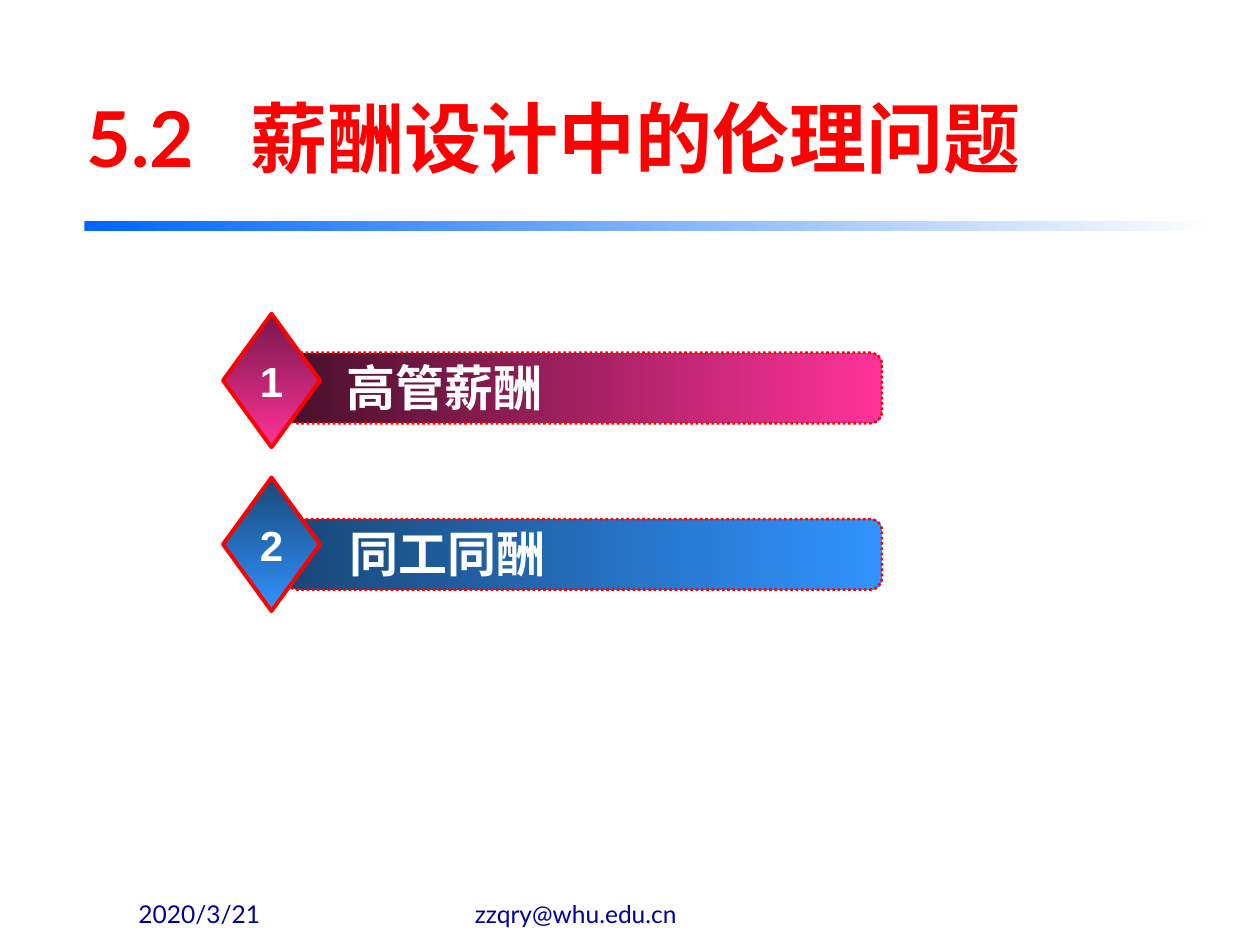
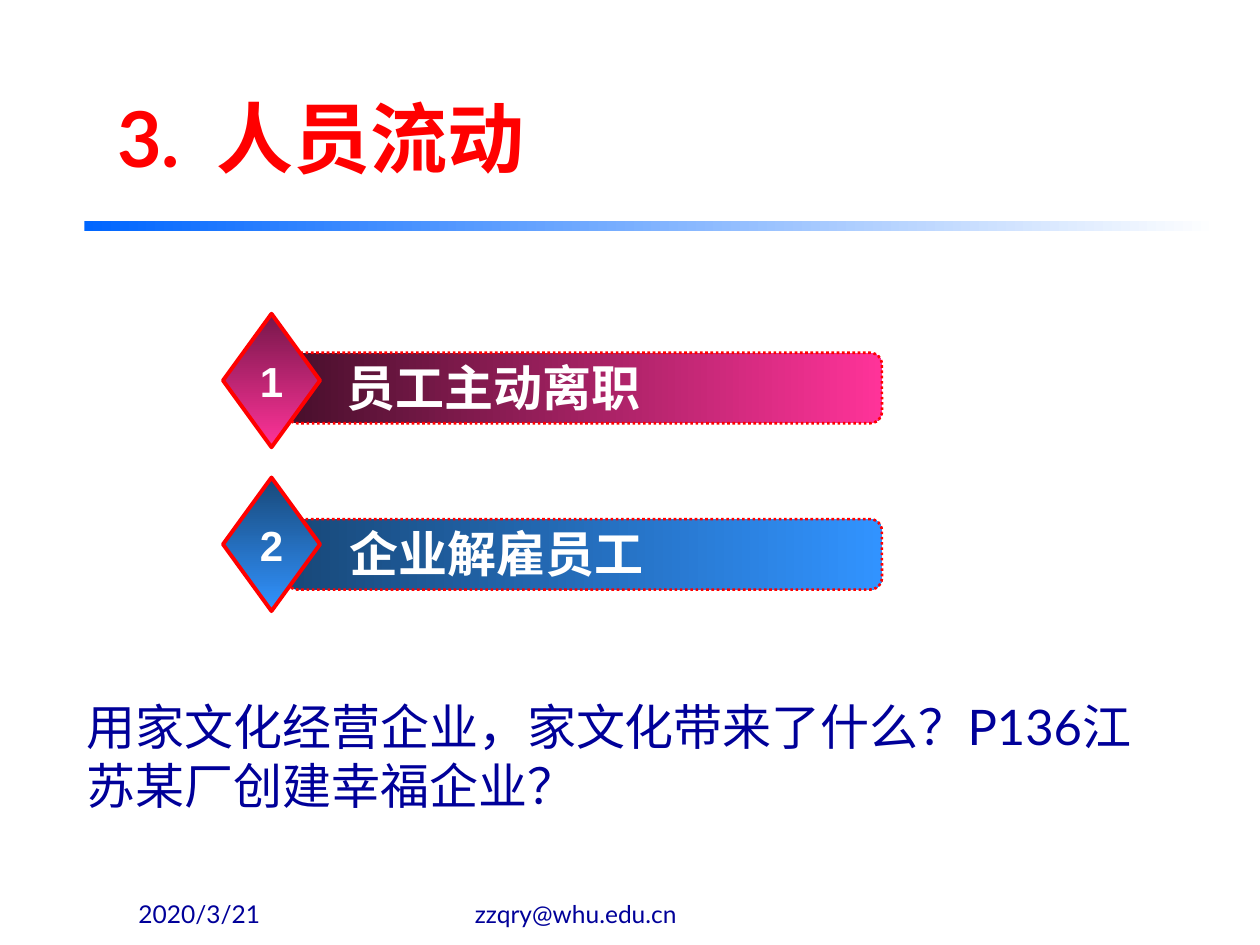
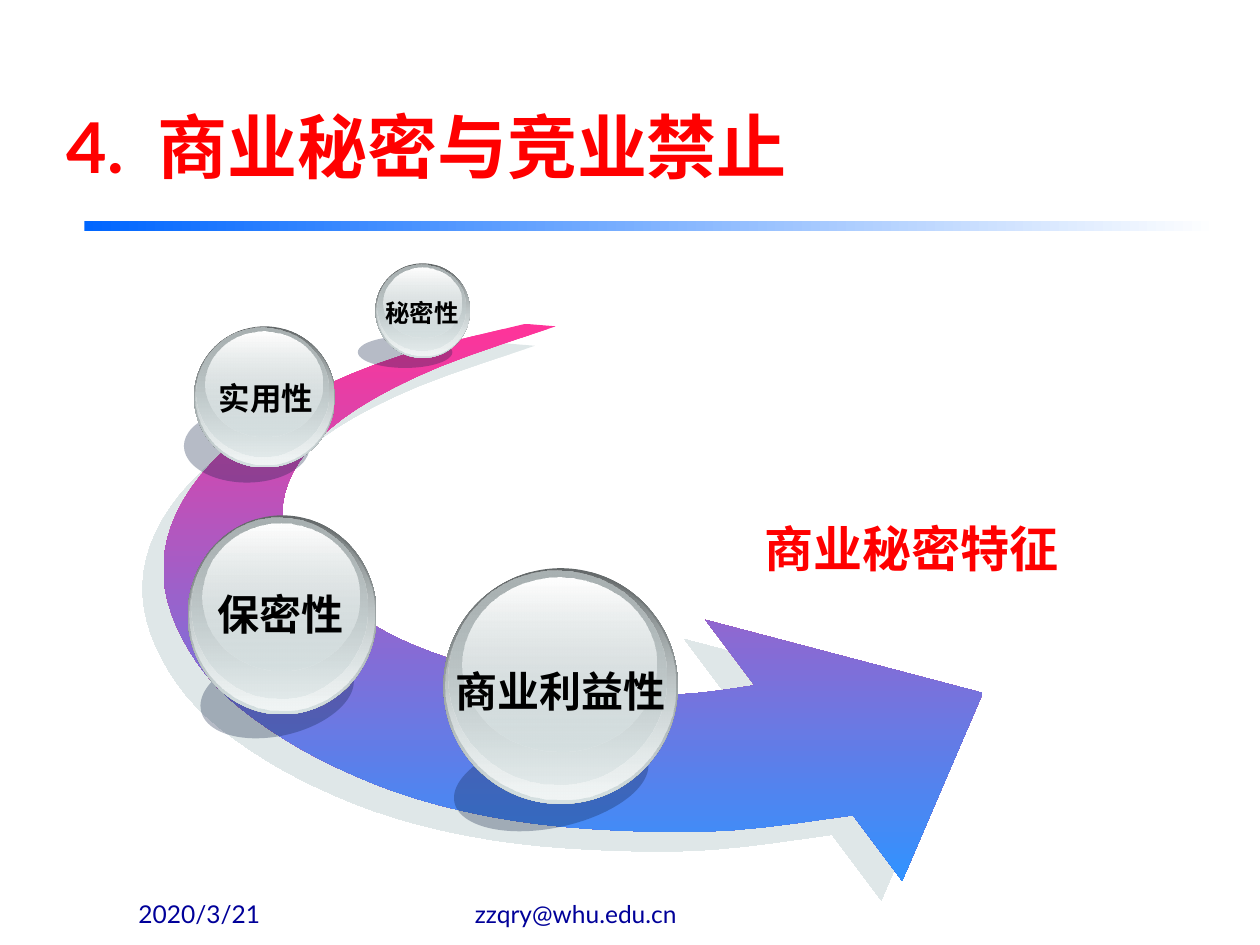
"""Builds three slides on pay, staff turnover and trade secrets."""
import pptx
import pptx.dml.color
import pptx.enum.dml
import pptx.enum.shapes
import pptx.enum.text
import pptx.oxml.ns
import pptx.util
from lxml import etree

COLUMNS, ROWS = 100, 75
SHAPES = pptx.enum.shapes.MSO_SHAPE
ANCHOR = pptx.enum.text.MSO_ANCHOR
ALIGN = pptx.enum.text.PP_ALIGN
RED, NAVY, WHITE, BLACK = "FF0000", "000099", "FFFFFF", "000000"
PINK, BLUE, GLASS = "FF3399", "3193FF", "D6E1E2"
DOWN = 270


def color(value):
    return pptx.dml.color.RGBColor.from_string(value)


def add_child(parent, tag, **attributes):
    child = etree.SubElement(parent, pptx.oxml.ns.qn(tag))
    for name, value in attributes.items():
        child.set(name, str(value))
    return child


def write_text(frame, text, size=28, font="Arial", ink=WHITE, bold=False, align=ALIGN.LEFT,
               anchor=ANCHOR.MIDDLE, wrap=True, tab=None, bottom=0.05):
    frame.auto_size = pptx.enum.text.MSO_AUTO_SIZE.NONE
    frame.word_wrap = wrap
    frame.vertical_anchor = anchor
    frame.margin_bottom = pptx.util.Inches(bottom)
    paragraph = frame.paragraphs[0]
    paragraph.alignment = align
    if tab:
        properties = paragraph._p.get_or_add_pPr()
        tabs = add_child(properties, "a:tabLst")
        add_child(tabs, "a:tab", pos=pptx.util.Inches(tab), algn="l")
    run = paragraph.add_run()
    run.text = text
    run.font.size = pptx.util.Pt(size)
    run.font.name = font
    run.font.bold = bold
    run.font.color.rgb = color(ink)


def smooth(points, steps=4):
    """Returns points on a Catmull-Rom curve through the given points."""
    padded = [points[0], *points, points[-1]]
    curve = []
    for a, b, c, d in zip(padded, padded[1:], padded[2:], padded[3:]):
        for step in range(steps):
            t = step / steps
            curve.append(tuple(
                (2 * q + (r - p) * t + (2 * p - 5 * q + 4 * r - s) * t ** 2
                 + (3 * q - p - 3 * r + s) * t ** 3) / 2
                for p, q, r, s in zip(a, b, c, d)))
    return curve + [points[-1]]


class Deck:
    def __init__(self):
        self.presentation = pptx.Presentation()
        self.presentation.slide_width = pptx.util.Inches(10)
        self.presentation.slide_height = pptx.util.Inches(7.5)
        self.slide = None

    def place(self, left, top, width, height):
        column = self.presentation.slide_width / COLUMNS
        row = self.presentation.slide_height / ROWS
        return [round(value * unit) for value, unit in
                zip((left, top, width, height), (column, row, column, row))]

    def new_slide(self, title, box, **style):
        self.slide = self.presentation.slides.add_slide(self.presentation.slide_layouts[5])
        heading = self.slide.shapes.title
        heading.left, heading.top, heading.width, heading.height = self.place(*box)
        style = {"size": 44, **style}
        write_text(heading.text_frame, title, font="Lato", ink=RED, bold=True,
                   anchor=ANCHOR.BOTTOM, **style)
        self.shape(SHAPES.RECTANGLE, (6.7, 17.5, 90, 0.8), ("0066FF", WHITE), angle=0)
        for text, left, width in (("2020/3/21", 10, 20.8), ("zzqry@whu.edu.cn", 36.7, 31.7)):
            self.text(text, (left, 69.2, width, 5), size=14, font="Lato", ink=NAVY,
                      anchor=ANCHOR.BOTTOM)

    def text(self, text, box, **style):
        write_text(self.slide.shapes.add_textbox(*self.place(*box)).text_frame, text, **style)

    def shape(self, kind, box, fills=(), **style):
        shape = self.slide.shapes.add_shape(kind, *self.place(*box))
        self.paint(shape, fills, **style)
        return shape

    def paint(self, shape, fills, angle=DOWN, alphas=(), line=None, dash=None):
        shape.shadow.inherit = False
        if len(fills) == 2:
            shape.fill.gradient()
            shape.fill.gradient_angle = angle
            for stop, value in zip(shape.fill.gradient_stops, fills):
                stop.color.rgb = color(value)
        elif fills:
            shape.fill.solid()
            shape.fill.fore_color.rgb = color(fills[0])
        else:
            shape.fill.background()
        tints = list(shape._element.spPr.iter(pptx.oxml.ns.qn("a:srgbClr")))
        for tint, alpha in zip(tints, alphas):
            add_child(tint, "a:alpha", val=alpha * 1000)
        if line:
            shape.line.color.rgb = color(RED)
            shape.line.width = pptx.util.Pt(line)
            if dash:
                shape.line.dash_style = dash
        else:
            shape.line.fill.background()

    def topics(self, labels):
        looks = (("470F2B", "76174A", PINK, 39.8), ("184878", "184878", BLUE, 57.4))
        for index, (label, look) in enumerate(zip(labels, looks)):
            bar_dark, diamond_dark, bright, width = look
            drop = 13.2 * index
            self.shape(SHAPES.ROUNDED_RECTANGLE, (22.7, 28 + drop, 47.3, 5.6),
                       (bar_dark, bright), angle=0, line=1.5,
                       dash=pptx.enum.dml.MSO_LINE.ROUND_DOT)
            caption = self.shape(SHAPES.ROUNDED_RECTANGLE,
                                 (26.2 + 0.2 * index, 27.1 + drop, width, 7.2))
            write_text(caption.text_frame, label, bold=True)
            diamond = self.shape(SHAPES.DIAMOND, (17.7, 24.9 + 13 * index, 7.7, 10.6),
                                 (diamond_dark, bright), line=2.25)
            write_text(diamond.text_frame, str(index + 1), size=24, bold=True,
                       align=ALIGN.CENTER, wrap=False)

    def ball(self, label, box, shade, tilt, caption, size):
        shadow = self.shape(SHAPES.OVAL, shade, ("0F2145",), alphas=(30,))
        shadow.rotation = tilt
        left, top, width, height = box
        layers = (((0, 0, 1, 1), ("636869", GLASS), ()),
                  ((0.01, 0.01, 0.98, 0.97), (GLASS, "F1F5F5"), (0, 100)),
                  ((0.02, 0.01, 0.93, 0.91), ("AAB2B3", GLASS), (100, 48)),
                  ((0.08, 0.04, 0.83, 0.74), (WHITE, GLASS), (100, 38)))
        for (x, y, w, h), fills, alphas in layers:
            self.shape(SHAPES.OVAL, (left + x * width, top + y * height, w * width, h * height),
                       fills, alphas=alphas)
        self.text(label, caption, size=size, ink=BLACK, bold=True, align=ALIGN.CENTER,
                  anchor=ANCHOR.TOP, wrap=False)

    def arrow(self, outer, head, inner):
        points = [tuple(self.place(x, y, 0, 0)[:2])
                  for x, y in smooth(outer) + head + smooth(inner)]
        builder = self.slide.shapes.build_freeform(*points[0])
        builder.add_line_segments(points[1:], close=True)
        shape = builder.convert_to_shape()
        self.paint(shape, (PINK, BLUE))
        effects = shape._element.spPr.find(pptx.oxml.ns.qn("a:effectLst"))
        shadow = add_child(effects, "a:outerShdw", dist=pptx.util.Pt(16.3), dir=137 * 60000,
                           algn="ctr", rotWithShape=0)
        tint = add_child(shadow, "a:srgbClr", val="C1D1D3")
        add_child(tint, "a:alpha", val=50000)


def main():
    deck = Deck()

    deck.new_slide("5.2\t薪酬设计中的伦理问题", (5.9, 6.8, 94.1, 8.2), tab=1.3)
    deck.topics(("高管薪酬", "同工同酬"))

    deck.new_slide("3.\t人员流动", (8.3, 6.8, 77, 8.2), tab=0.79)
    deck.topics(("员工主动离职", "企业解雇员工"))
    deck.text("用家文化经营企业，家文化带来了什么？P136江苏某厂创建幸福企业？",
              (5.9, 54.8, 85.1, 10.4), font="Lato", ink=NAVY, anchor=ANCHOR.TOP)

    deck.new_slide("4.\t商业秘密与竞业禁止", (4.3, 6, 90, 10.2), size=40, tab=0.72, bottom=0.13)
    deck.arrow(
        outer=[(41.7, 25.7), (31.9, 28.2), (24.4, 31.3), (18.8, 34.9), (15.2, 38.7),
               (13.3, 42.7), (13.1, 46.7), (14.5, 50.7), (17.2, 54.5), (21.4, 57.9),
               (26.7, 60.9), (33.1, 63.4), (40.6, 65.1), (48.9, 65.9), (58, 65.9),
               (67.7, 64.7)],
        head=[(71.6, 69.9), (78, 55), (56, 49.2)],
        inner=[(59.9, 54.4), (54.2, 55.1), (48.2, 54.9), (42.3, 54.1), (36.7, 52.6),
               (31.7, 50.7), (27.5, 48.2), (24.4, 45.5), (22.7, 42.4), (22.6, 39.2),
               (24.4, 35.8), (28.4, 32.4), (34.9, 29.1), (44.1, 25.9)])
    deck.text("商业秘密特征", (59.7, 40.7, 29.2, 5.7), ink=RED, bold=True, anchor=ANCHOR.TOP)
    balls = (
        ("商业利益性", (35.2, 45.1, 18.6, 18.7), (35.9, 58.4, 15.7, 7.3), -12,
         (35.1, 52.3, 18.8, 5), 24),
        ("保密性", (14.9, 40.9, 15, 15.8), (15.8, 51.7, 12.4, 6.7), -13,
         (16.2, 46.2, 12.1, 5), 24),
        ("实用性", (15.4, 25.9, 11.2, 11.2), (14.6, 32.5, 10, 5.8), 0,
         (16.3, 29.6, 9.6, 4), 18),
        ("秘密性", (29.8, 20.9, 7.5, 7.5), (28.4, 26.7, 7.5, 2.5), 0,
         (29.6, 23.2, 7.8, 3.3), 14))
    for ball in balls:
        deck.ball(*ball)

    deck.presentation.save("out.pptx")


if __name__ == "__main__":
    main()
